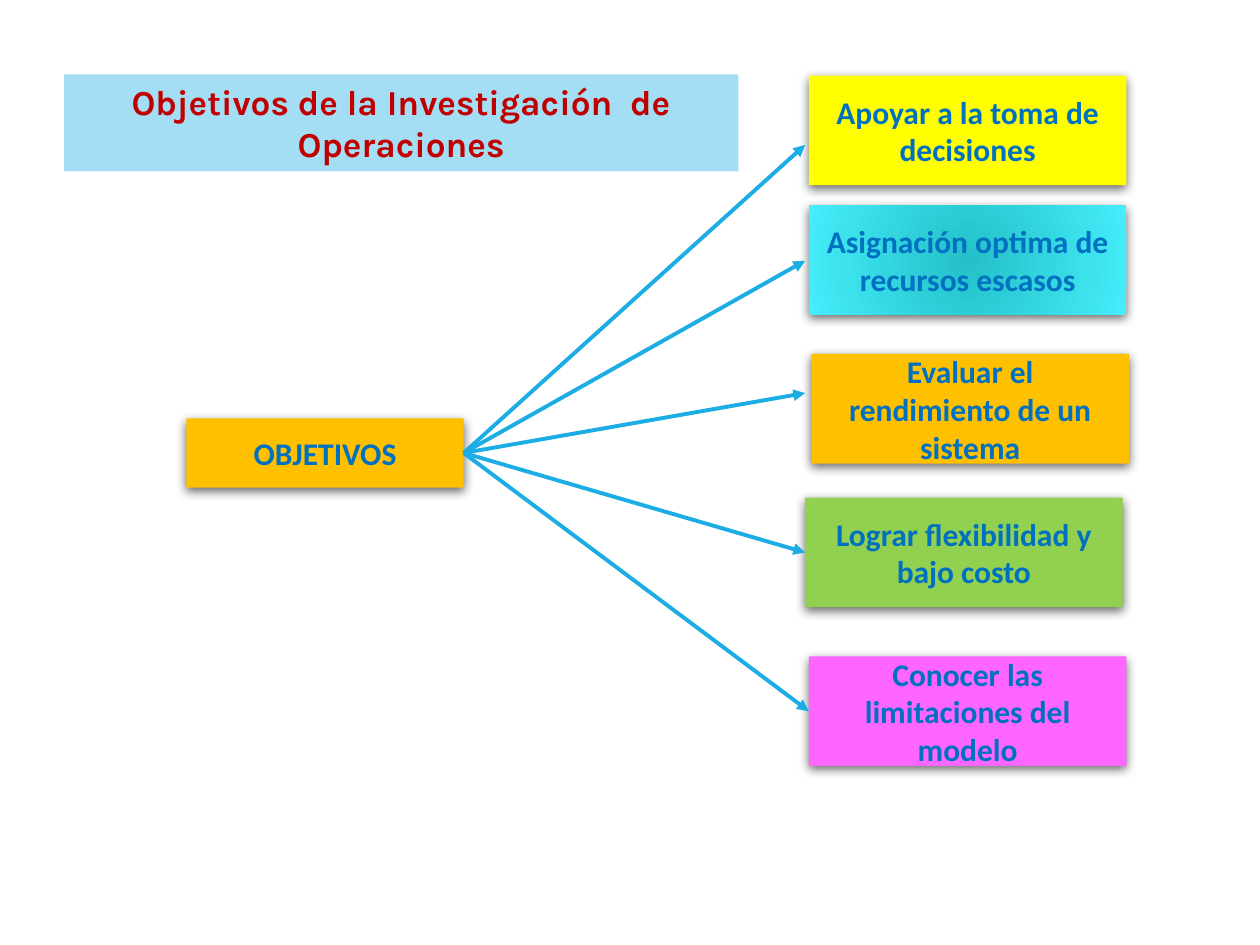
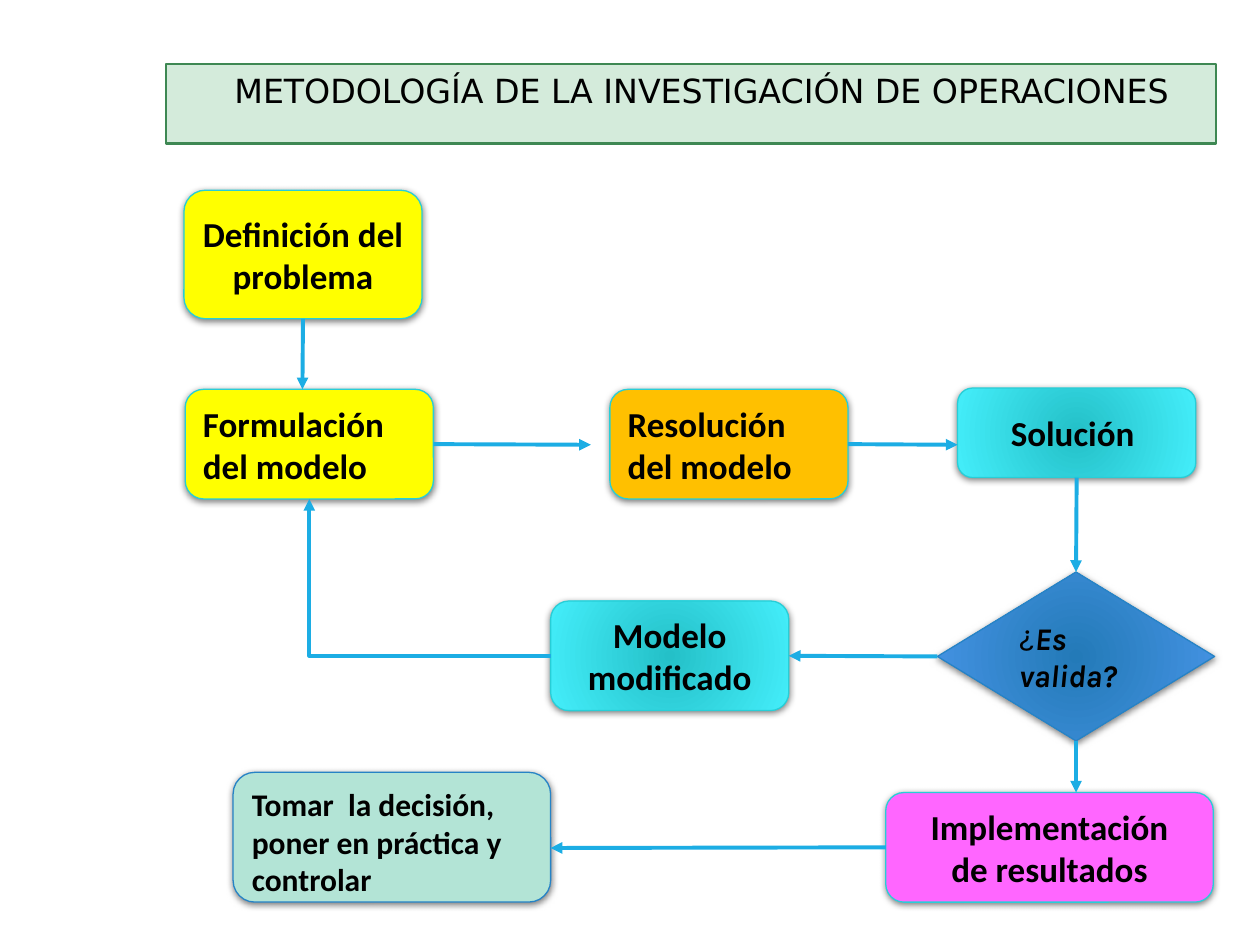
from lxml import etree
from pptx import Presentation
from pptx.dml.color import RGBColor
from pptx.enum import shapes, text
from pptx.oxml import ns
from pptx.util import Inches, Pt

BLACK = RGBColor(0x00, 0x00, 0x00)
RED = RGBColor(0xC0, 0x00, 0x00)
BLUE_TEXT = RGBColor(0x00, 0x70, 0xC0)
ARROW_BLUE = RGBColor(0x1C, 0xAD, 0xE4)
SKY = RGBColor(0xA4, 0xDE, 0xF4)
PALE_GREEN = RGBColor(0xD4, 0xEB, 0xDB)
DARK_GREEN = RGBColor(0x3E, 0x88, 0x53)
YELLOW = RGBColor(0xFF, 0xFF, 0x00)
ORANGE = RGBColor(0xFF, 0xC0, 0x00)
GREEN = RGBColor(0x92, 0xD0, 0x50)
PINK = RGBColor(0xFF, 0x66, 0xFF)
MINT = RGBColor(0xB3, 0xE4, 0xD6)
TURQUOISE_LINE = RGBColor(0x27, 0xCE, 0xD7)
BLUE_LINE = RGBColor(0x26, 0x83, 0xC6)
TURQUOISE = (RGBColor(0x24, 0xC0, 0xC8), RGBColor(0x44, 0xEE, 0xFA))
BLUE = (RGBColor(0x23, 0x7A, 0xB8), RGBColor(0x48, 0x95, 0xE7))

TOP, LEFT, BOTTOM, RIGHT = 0, 1, 2, 3
RECTANGLE = shapes.MSO_SHAPE.RECTANGLE
ROUNDED = shapes.MSO_SHAPE.ROUNDED_RECTANGLE
DIAMOND = shapes.MSO_SHAPE.DIAMOND
CENTER = text.PP_ALIGN.CENTER
ALIGN_LEFT = text.PP_ALIGN.LEFT
MIDDLE = text.MSO_ANCHOR.MIDDLE
ANCHOR_TOP = text.MSO_ANCHOR.TOP


def add_element(parent, tag, **attributes):
    element = etree.SubElement(parent, ns.qn(tag))
    for name, value in attributes.items():
        element.set(name, str(value))
    return element


class DiagramSlide:
    """One slide with the look shared by its boxes and arrows."""

    def __init__(self, presentation, font_size, font_color, outline, shadow):
        self.slide = presentation.slides.add_slide(presentation.slide_layouts[5])
        self.font_size = font_size
        self.font_color = font_color
        self.outline = outline
        self.shadow = shadow  # opacity %, blur and distance in points

    def place(self, shape, area):
        shape.left, shape.top, shape.width, shape.height = map(Inches, area)

    def paint(self, shape, fill, line=None, line_width=0.75):
        """Fill with a colour, or with a (centre, edge) pair as a radial gradient."""
        if isinstance(fill, tuple) and not isinstance(fill, RGBColor):
            shape.fill.gradient()
            for stop, color in zip(shape.fill.gradient_stops, fill):
                stop.color.rgb = color
            gradient = shape._element.spPr.find(ns.qn("a:gradFill"))
            gradient.remove(gradient.find(ns.qn("a:lin")))
            circle = add_element(gradient, "a:path", path="circle")
            add_element(circle, "a:fillToRect", l=100000, t=100000, r=100000, b=100000)
        else:
            shape.fill.solid()
            shape.fill.fore_color.rgb = fill
        if line is None:
            shape.line.fill.background()
        else:
            shape.line.color.rgb = line
            shape.line.width = Pt(line_width)

    def add_text(self, shape, lines, align, anchor):
        """Add paragraphs, each a list of (text, font, size, colour, bold, italic) runs."""
        frame = shape.text_frame
        frame.word_wrap = True
        frame.auto_size = text.MSO_AUTO_SIZE.NONE
        frame.vertical_anchor = anchor
        for number, runs in enumerate(lines):
            paragraph = frame.add_paragraph() if number else frame.paragraphs[0]
            paragraph.alignment = align
            for words, name, size, color, bold, italic in runs:
                run = paragraph.add_run()
                run.text = words
                run.font.name = name
                run.font.size = Pt(size)
                run.font.color.rgb = color
                run.font.bold = bold
                run.font.italic = italic

    def title(self, area, run, fill, line=None, align=CENTER, indent=0.1):
        title = self.slide.shapes.title
        self.place(title, area)
        self.paint(title, fill, line, 1.25)
        self.add_text(title, [[run]], align, ANCHOR_TOP)
        title.text_frame.margin_left = Inches(indent)

    def shape(self, kind, area, fill, line=None):
        shape = self.slide.shapes.add_shape(kind, *map(Inches, area))
        self.paint(shape, fill, line or self.outline)
        shape.shadow.inherit = False
        opacity, blur, distance = self.shadow
        effects = shape._element.spPr.find(ns.qn("a:effectLst"))
        outer = add_element(effects, "a:outerShdw", blurRad=Pt(blur), dist=Pt(distance),
                            dir=5400000, algn="ctr", rotWithShape=0)
        color = add_element(outer, "a:srgbClr", val="000000")
        add_element(color, "a:alpha", val=opacity * 1000)
        return shape

    def box(self, words, area, fill, kind=ROUNDED, line=None, align=CENTER,
            anchor=MIDDLE, size=None):
        shape = self.shape(kind, area, fill, line)
        lines = [[(part, "Calibri", size or self.font_size, self.font_color, True, False)]
                 for part in words.split("\n")]
        self.add_text(shape, lines, align, anchor)
        return shape

    def connector(self, start, side, x=0, y=0, kind=shapes.MSO_CONNECTOR.STRAIGHT):
        """Draw an arrow from a side of a shape to a point."""
        arrow = self.slide.shapes.add_connector(kind, 0, 0, Inches(x), Inches(y))
        arrow.begin_connect(start, side)
        arrow.line.color.rgb = ARROW_BLUE
        arrow.line.width = Pt(2.25)
        line = arrow._element.spPr.find(ns.qn("a:ln"))
        add_element(line, "a:tailEnd", type="triangle")
        add_element(arrow._element.spPr, "a:effectLst")
        return arrow

    def link(self, start, side, end, end_side):
        self.connector(start, side).end_connect(end, end_side)

    def corner_link(self, start, end):
        """Run left from one shape, then up to the bottom of another."""
        arrow = self.connector(start, LEFT, kind=shapes.MSO_CONNECTOR.ELBOW)
        arrow.end_connect(end, BOTTOM)
        properties = arrow._element.spPr
        properties.find(ns.qn("a:prstGeom")).set("prst", "bentConnector2")
        transform = properties.find(ns.qn("a:xfrm"))
        for flip in ("flipH", "flipV"):
            transform.attrib.pop(flip, None)
        transform.set("rot", "10800000")


def build_objectives(presentation):
    page = DiagramSlide(presentation, 18, BLUE_TEXT, None, (60, 6, 2))
    page.title((0.51, 0.59, 5.35, 0.77),
               ("Objetivos de la Investigación  de Operaciones", "Karla", 20, RED, True, False),
               SKY)
    hub = page.box("OBJETIVOS", (1.48, 3.32, 2.2, 0.55), ORANGE, RECTANGLE)
    # Text, left, top, fill, height of the arrow tip (None: joined to the box)
    objectives = [
        ("Apoyar a la toma de decisiones", 6.42, 0.6, YELLOW, 1.15),
        ("Asignación optima de recursos escasos", 6.42, 1.63, TURQUOISE, 2.07),
        ("Evaluar el rendimiento de un sistema", 6.44, 2.81, ORANGE, 3.12),
        ("Lograr flexibilidad y bajo costo", 6.39, 3.95, GREEN, None),
        ("Conocer las limitaciones del modelo", 6.42, 5.21, PINK, None),
    ]
    for words, left, top, fill, tip in objectives:
        objective = page.box(words, (left, top, 2.52, 0.87), fill, RECTANGLE)
        if tip is None:
            page.link(hub, RIGHT, objective, LEFT)
        else:
            page.connector(hub, RIGHT, 6.39, tip)


def build_methodology(presentation):
    page = DiagramSlide(presentation, 20, BLACK, TURQUOISE_LINE, (50, 4, 1))
    page.title((1.32, 0.51, 8.33, 0.63),
               ("METODOLOGÍA DE LA INVESTIGACIÓN DE OPERACIONES", "DejaVu Sans", 19,
                BLACK, False, False),
               PALE_GREEN, DARK_GREEN, ALIGN_LEFT, 0.54)

    definition = page.box("Definición del problema", (1.46, 1.51, 1.89, 1.02), YELLOW)
    formulation = page.box("Formulación del modelo", (1.47, 3.09, 1.97, 0.87), YELLOW,
                           align=ALIGN_LEFT)
    resolution = page.box("Resolución del modelo", (4.84, 3.09, 1.89, 0.87), ORANGE,
                          align=ALIGN_LEFT)
    solution = page.box("Solución ", (7.6, 3.08, 1.89, 0.71), TURQUOISE)
    decision = page.shape(DIAMOND, (7.44, 4.54, 2.2, 1.34), BLUE, BLUE_LINE)
    page.add_text(decision, [[("¿", "Karla", 18, BLACK, False, False),
                              ("Es  valida?", "Karla", 18, BLACK, True, True)]],
                  ALIGN_LEFT, MIDDLE)
    results = page.box("Implementación\nde resultados", (7.03, 6.29, 2.6, 0.87), PINK)
    modified = page.box("Modelo modificado", (4.37, 4.77, 1.89, 0.87), TURQUOISE)
    page.box("Tomar  la decisión, poner en práctica y controlar", (1.85, 6.13, 2.52, 1.03),
             MINT, line=BLUE_LINE, align=ALIGN_LEFT, anchor=ANCHOR_TOP, size=18)

    page.connector(definition, BOTTOM, 2.4, 3.09)
    page.connector(formulation, RIGHT, 4.69, 3.53)
    page.connector(resolution, RIGHT, 7.6, 3.53)
    page.link(solution, BOTTOM, decision, TOP)
    page.connector(decision, BOTTOM, 8.54, 6.29)
    page.link(decision, LEFT, modified, RIGHT)
    page.corner_link(modified, formulation)
    page.connector(results, LEFT, 4.37, 6.73)


def main():
    presentation = Presentation()
    presentation.slide_width = Inches(10)
    presentation.slide_height = Inches(7.5)
    build_objectives(presentation)
    build_methodology(presentation)
    presentation.save("out.pptx")


if __name__ == "__main__":
    main()
